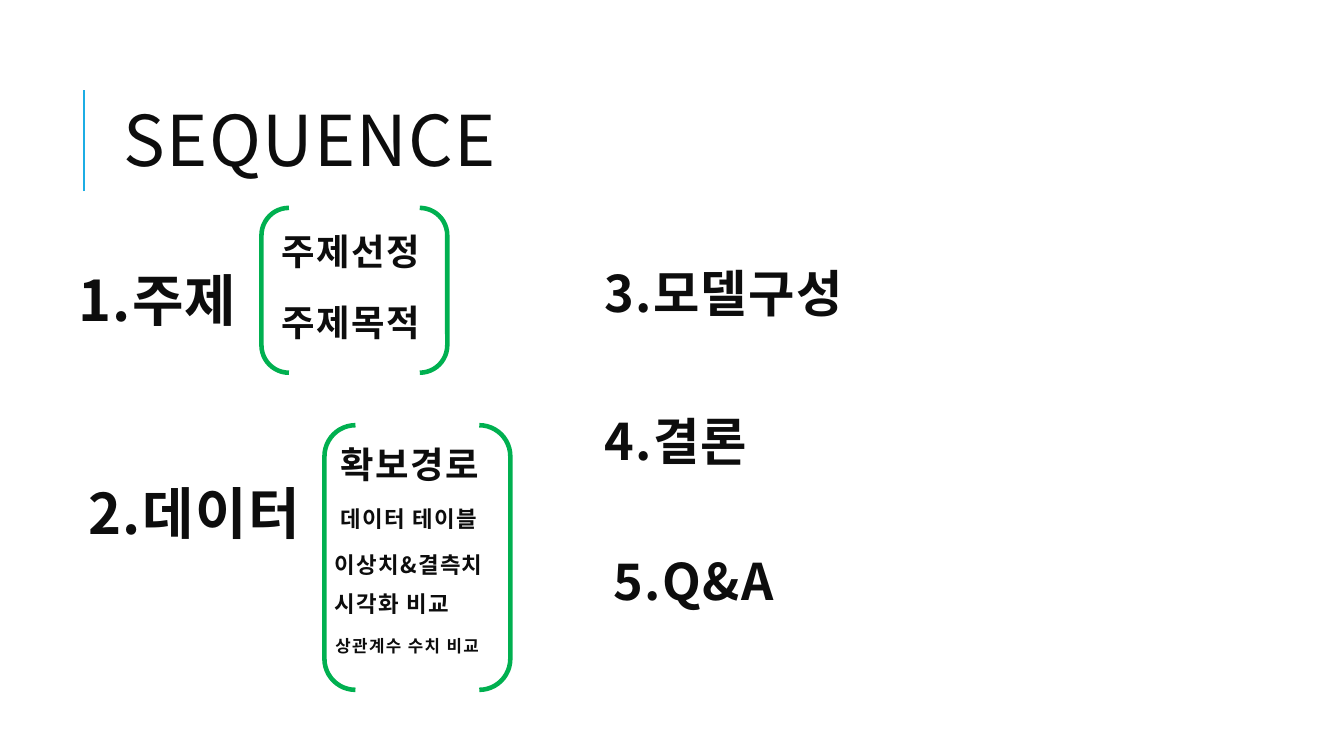
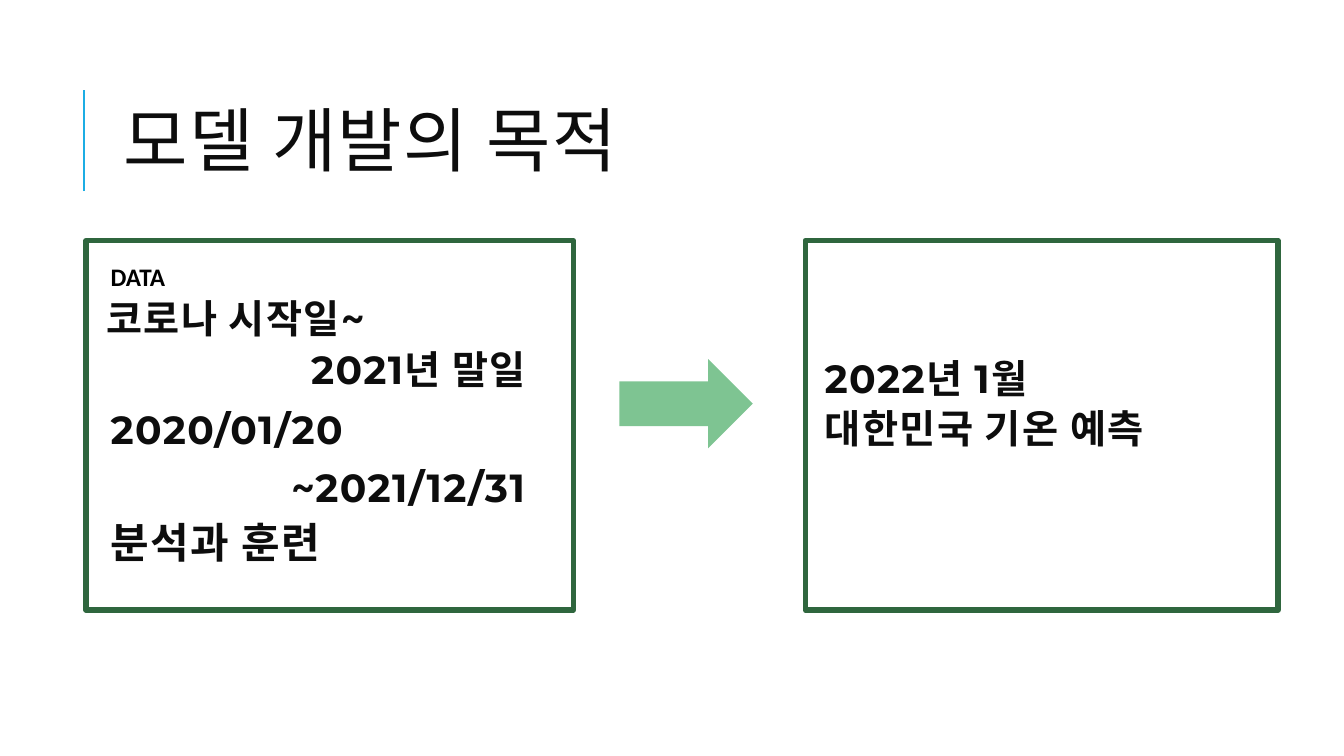
from lxml import etree
from pptx import Presentation
from pptx.dml.color import RGBColor
from pptx.enum.shapes import MSO_CONNECTOR, MSO_SHAPE
from pptx.enum.text import MSO_ANCHOR, MSO_AUTO_SIZE, PP_ALIGN
from pptx.oxml.ns import qn
from pptx.util import Pt

PX = 9525
WIDTH, HEIGHT = 1280, 720
STRAIGHT = MSO_CONNECTOR.STRAIGHT
BRACKETS, FRAME, ARROW = MSO_SHAPE.DOUBLE_BRACKET, MSO_SHAPE.RECTANGLE, MSO_SHAPE.RIGHT_ARROW
MIDDLE, TOP = MSO_ANCHOR.MIDDLE, MSO_ANCHOR.TOP
NO_FIT, LEFT = MSO_AUTO_SIZE.NONE, PP_ALIGN.LEFT
KOREAN, LATIN, CAPTION = "Noto Sans CJK KR", "Montserrat", "Calibri"
INK, BLACK, RULE = "0D0D0D", "000000", "1CADE4"
BRACKET_GREEN, FRAME_GREEN, ARROW_GREEN = "00B050", "2F663E", "7EC492"
color = RGBColor.from_string


def write(frame, lines, size, name=KOREAN, bold=True, ink=INK, leading=0.8,
          gap=0, tracking=100, anchor=MIDDLE):
    frame_format = {"word_wrap": True, "auto_size": NO_FIT, "vertical_anchor": anchor}
    for key, value in frame_format.items():
        setattr(frame, key, value)
    for index, line in enumerate(lines):
        paragraph = frame.paragraphs[0] if index == 0 else frame.add_paragraph()
        paragraph_format = {"alignment": LEFT, "line_spacing": leading,
                            "space_before": Pt(gap if index else 0)}
        for key, value in paragraph_format.items():
            setattr(paragraph, key, value)
        run = paragraph.add_run()
        run.text = line
        for key, value in {"size": Pt(size), "name": name, "bold": bold}.items():
            setattr(run.font, key, value)
        run.font.color.rgb = color(ink)
        properties = run._r.get_or_add_rPr()
        properties.set("spc", str(tracking))
        etree.SubElement(properties, qn("a:ea")).set("typeface", KOREAN)


def draw(slide, kind, box, fill=None, line=None, weight=0):
    shape = slide.shapes.add_shape(kind, *(length * PX for length in box))
    shape.shadow.inherit = False
    if fill:
        shape.fill.solid()
        shape.fill.fore_color.rgb = color(fill)
    else:
        shape.fill.background()
    if line:
        shape.line.color.rgb = color(line)
        shape.line.width = Pt(weight)
    else:
        shape.line.fill.background()


presentation = Presentation()
presentation.slide_width, presentation.slide_height = WIDTH * PX, HEIGHT * PX
layout = presentation.slide_layouts[5]
title_place = {"left": 108, "top": 61, "width": 1020, "height": 157}
for key, value in title_place.items():
    setattr(layout.placeholders[0], key, value * PX)

slides = []
for heading in ["SEQUENCE", "모델 개발의 목적"]:
    slide = presentation.slides.add_slide(layout)
    write(slide.shapes.title.text_frame, [heading], 50, bold=False)
    slides.append(slide)
sequence, purpose = slides

title_rule = sequence.shapes.add_connector(STRAIGHT, 80 * PX, 182 * PX, 80 * PX, 86 * PX)
title_rule.line.color.rgb = color(RULE)
title_rule.line.width = Pt(1.5)
etree.SubElement(title_rule.element.spPr, qn("a:effectLst"))
layout.shapes.element.append(title_rule.element)

for box in [(249, 198, 177, 157), (309, 405, 177, 252)]:
    draw(sequence, BRACKETS, box, line=BRACKET_GREEN, weight=3.25)

agenda = [
    ("1.주제", 65, 232, 40),
    ("주제선정", 259, 184, 26),
    ("주제목적", 259, 252, 26),
    ("2.데이터", 75, 435, 40),
    ("확보경로", 315, 387, 26),
    ("데이터 테이블", 315, 438, 16),
    ("이상치&결측치", 309, 482, 16),
    ("시각화 비교", 309, 519, 16),
    ("상관계수 수치 비교", 310, 558, 12),
    ("3.모델구성", 566, 225, 36),
    ("4.결론", 566, 366, 36),
    ("5.Q&A", 575, 500, 36),
]
for entry, left, top, size in agenda:
    place = (left, top, min(1020, WIDTH - left), 117)
    label = sequence.shapes.add_textbox(*(length * PX for length in place))
    write(label.text_frame, [entry], size)

draw(purpose, FRAME, (82, 229, 464, 352), line=FRAME_GREEN, weight=3.75)
draw(purpose, FRAME, (767, 229, 450, 352), line=FRAME_GREEN, weight=4)
draw(purpose, ARROW, (590, 342, 127, 85), fill=ARROW_GREEN)

caption_format = {"size": 18, "name": CAPTION, "ink": BLACK, "leading": 1.0,
                  "tracking": 0, "anchor": TOP}
period_format = {"size": 28, "name": LATIN}
training_format = {"size": 30, "name": LATIN}
forecast_format = {"size": 28.1, "name": LATIN, "leading": 0.6, "gap": 16}
statements = [
    (["DATA"], (96, 244, 435, 38), caption_format),
    (["코로나 시작일~"], (92, 266, 532, 81), period_format),
    (["2021년 말일"], (287, 315, 532, 81), period_format),
    (["2020/01/20"], (96, 365, 532, 95), period_format),
    (["~2021/12/31"], (268, 420, 532, 95), period_format),
    (["분석과 훈련"], (96, 473, 532, 95), training_format),
    (["2022년 1월", "대한민국 기온 예측"], (776, 343, 504, 95), forecast_format),
]
for lines, place, text_format in statements:
    statement = purpose.shapes.add_textbox(*(length * PX for length in place))
    write(statement.text_frame, lines, **text_format)

presentation.save("out.pptx")
